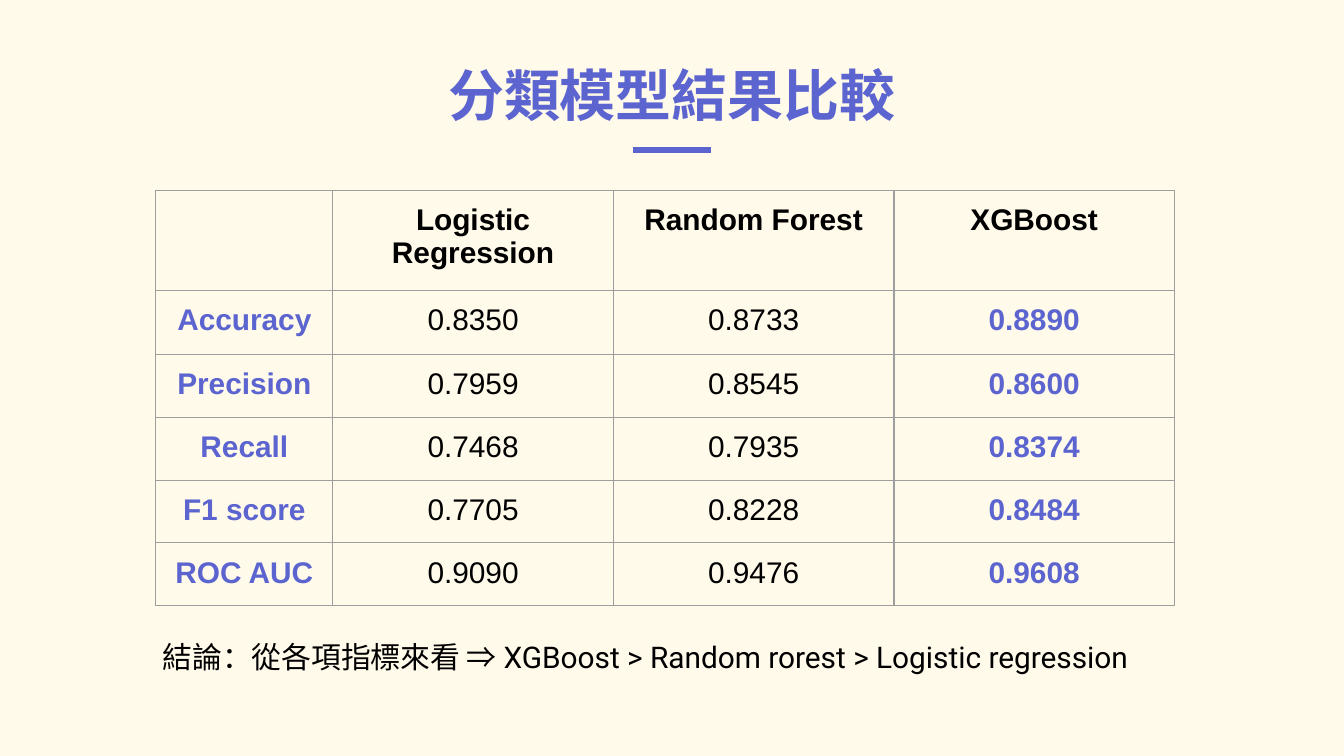
from lxml.etree import SubElement
from pptx import Presentation
from pptx.dml.color import RGBColor as Color
from pptx.enum.shapes import MSO_CONNECTOR as Connector
from pptx.enum.text import MSO_ANCHOR as Anchor, PP_ALIGN as Align
from pptx.oxml.ns import qn
from pptx.util import Pt

COLORS = {"paper": "FFFAEA", "accent": "5C65CF", "ink": "000000", "grid": "9E9E9E"}
INSET = Pt(7.2)

RESULTS = [
    ["", "Logistic Regression", "Random Forest", "XGBoost"],
    ["Accuracy", "0.8350", "0.8733", "0.8890"],
    ["Precision", "0.7959", "0.8545", "0.8600"],
    ["Recall", "0.7468", "0.7935", "0.8374"],
    ["F1 score", "0.7705", "0.8228", "0.8484"],
    ["ROC AUC", "0.9090", "0.9476", "0.9608"],
]
ROW_HEIGHTS = [53.5, 34.5] + [33.25] * 4
LABEL_WIDTH = 94.8


def style_text(para, size, font, color, bold=False):
    for span in para.runs:
        span.font.size = Pt(size)
        span.font.name = font
        span.font.bold = bold
        span.font.color.rgb = Color.from_string(COLORS[color])


def add_text(page, box, text, size, color, bold=False,
             align=Align.LEFT, anchor=Anchor.TOP):
    frame = page.shapes.add_textbox(*map(Pt, box)).text_frame
    frame.word_wrap = True
    frame.vertical_anchor = anchor
    frame.margin_left = frame.margin_right = INSET
    frame.margin_top = frame.margin_bottom = INSET
    frame.text = text
    para = frame.paragraphs[0]
    para.alignment = align
    style_text(para, size, "Roboto", color, bold)
    return para


def add_heading(page, box):
    left, top, width, height = box
    add_text(page, box, "分類模型結果比較", 30, "accent", True,
             Align.CENTER, Anchor.BOTTOM)
    middle, level, half = left + width / 2, top + height + 5, 21
    rule = page.shapes.add_connector(
        Connector.STRAIGHT, Pt(middle - half), Pt(level), Pt(middle + half), Pt(level))
    rule.line.color.rgb = Color.from_string(COLORS["accent"])
    rule.line.width = Pt(3)
    SubElement(rule._element.spPr, qn("a:effectLst"))


def add_borders(cell):
    properties = cell._tc.get_or_add_tcPr()
    for side in ("lnL", "lnR", "lnT", "lnB"):
        edge = SubElement(properties, qn(f"a:{side}"), w=str(Pt(0.75)))
        fill = SubElement(edge, qn("a:solidFill"))
        SubElement(fill, qn("a:srgbClr"), val=COLORS["grid"])


def fill_cell(cell, text, color, bold):
    add_borders(cell)
    cell.fill.background()
    cell.margin_left = cell.margin_right = INSET
    cell.margin_top = cell.margin_bottom = INSET
    cell.text = text
    para = cell.text_frame.paragraphs[0]
    para.alignment = Align.CENTER
    style_text(para, 16, "Arial", color, bold)


def add_results(page, box):
    count = len(RESULTS[0])
    table = page.shapes.add_table(len(RESULTS), count, *map(Pt, box)).table
    model_width = (box[2] - LABEL_WIDTH) / (count - 1)
    for index, column in enumerate(table.columns):
        column.width = Pt(model_width if index else LABEL_WIDTH)
    for row, height in zip(table.rows, ROW_HEIGHTS):
        row.height = Pt(height)
    for r, values in enumerate(RESULTS):
        for c, value in enumerate(values):
            header, highlighted = r == 0, c in (0, count - 1)
            color = "accent" if highlighted and not header else "ink"
            fill_cell(table.cell(r, c), value, color, header or highlighted)


def add_conclusion(page, box):
    para = add_text(
        page, box,
        "結論：從各項指標來看 ⇒ XGBoost > Random rorest > Logistic regression",
        16, "ink")
    para.space_after = Pt(16)


def main():
    deck = Presentation()
    deck.slide_width, deck.slide_height = Pt(720), Pt(405)
    page = deck.slides.add_slide(deck.slide_layouts[6])
    page.background.fill.solid()
    page.background.fill.fore_color.rgb = Color.from_string(COLORS["paper"])
    add_heading(page, (56, 16, 608, 59.5))
    add_results(page, (83.5, 102, 545.7, sum(ROW_HEIGHTS)))
    add_conclusion(page, (80, 335, 546, 27))
    deck.save("out.pptx")


if __name__ == "__main__":
    main()
